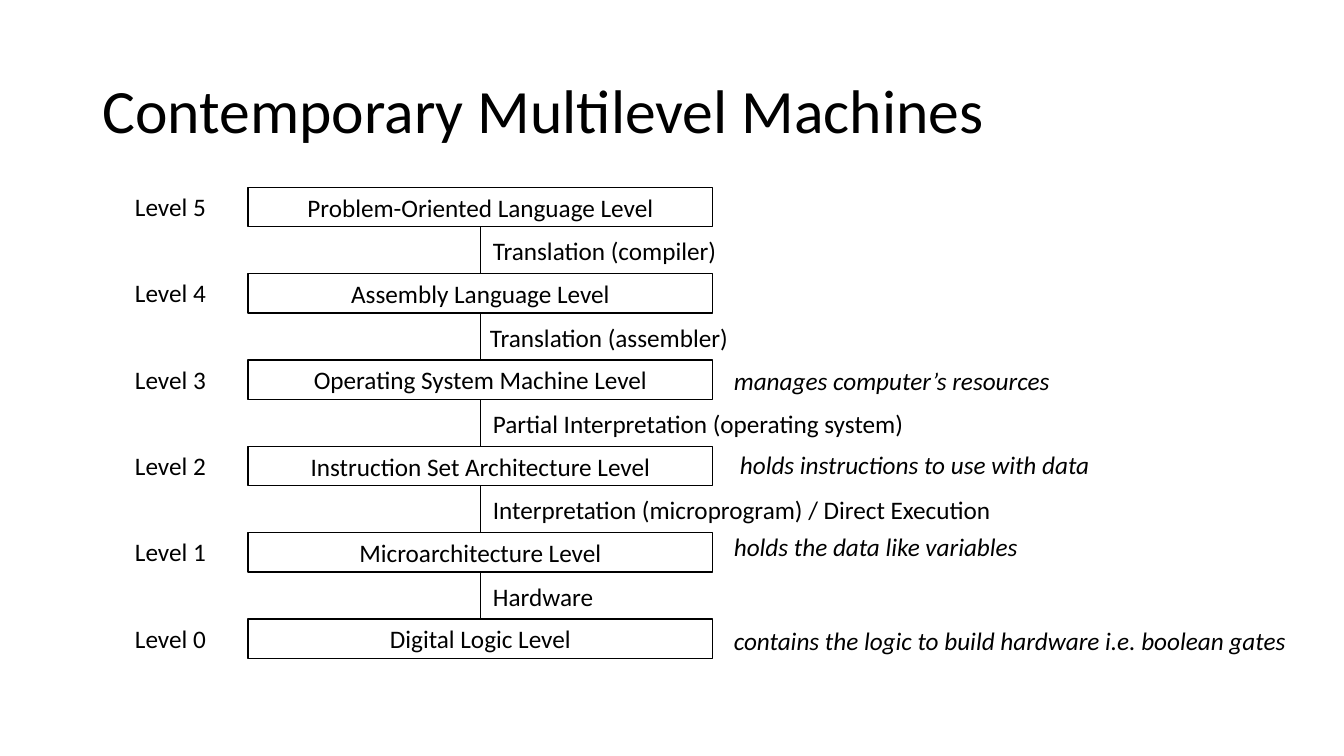
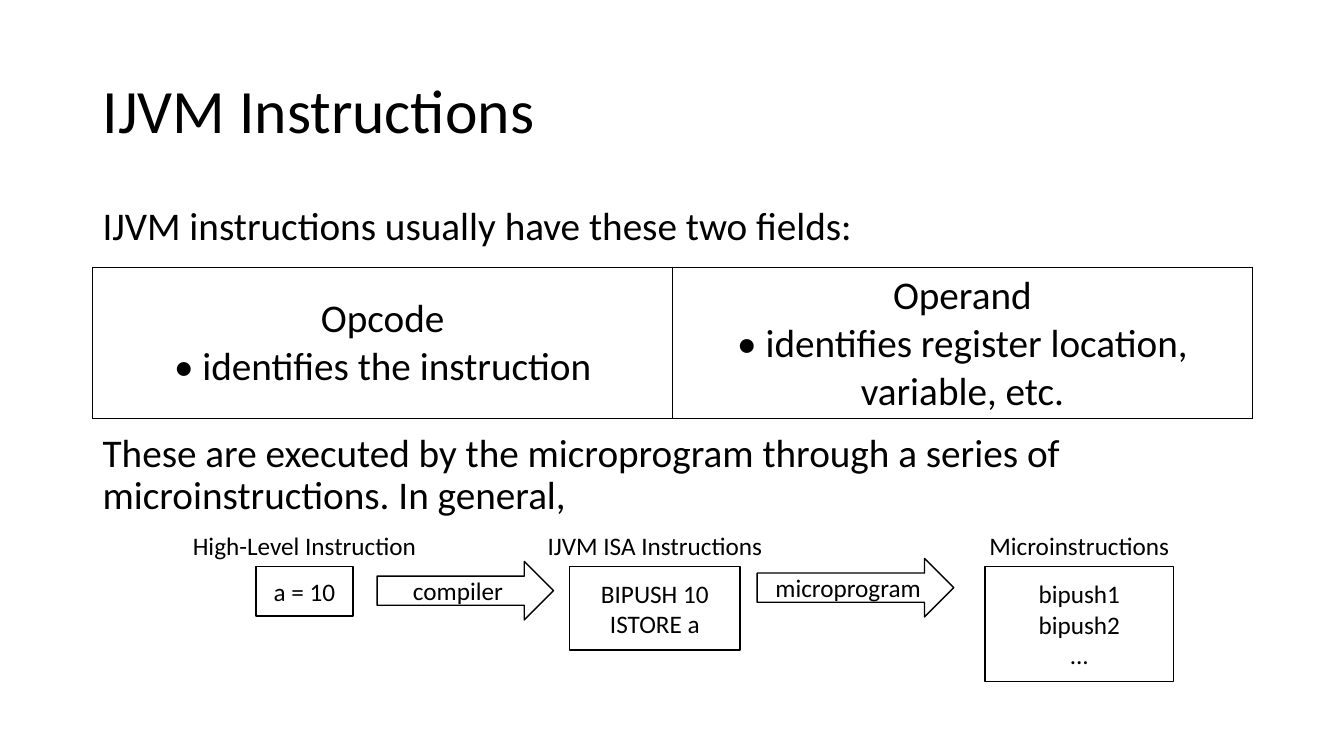
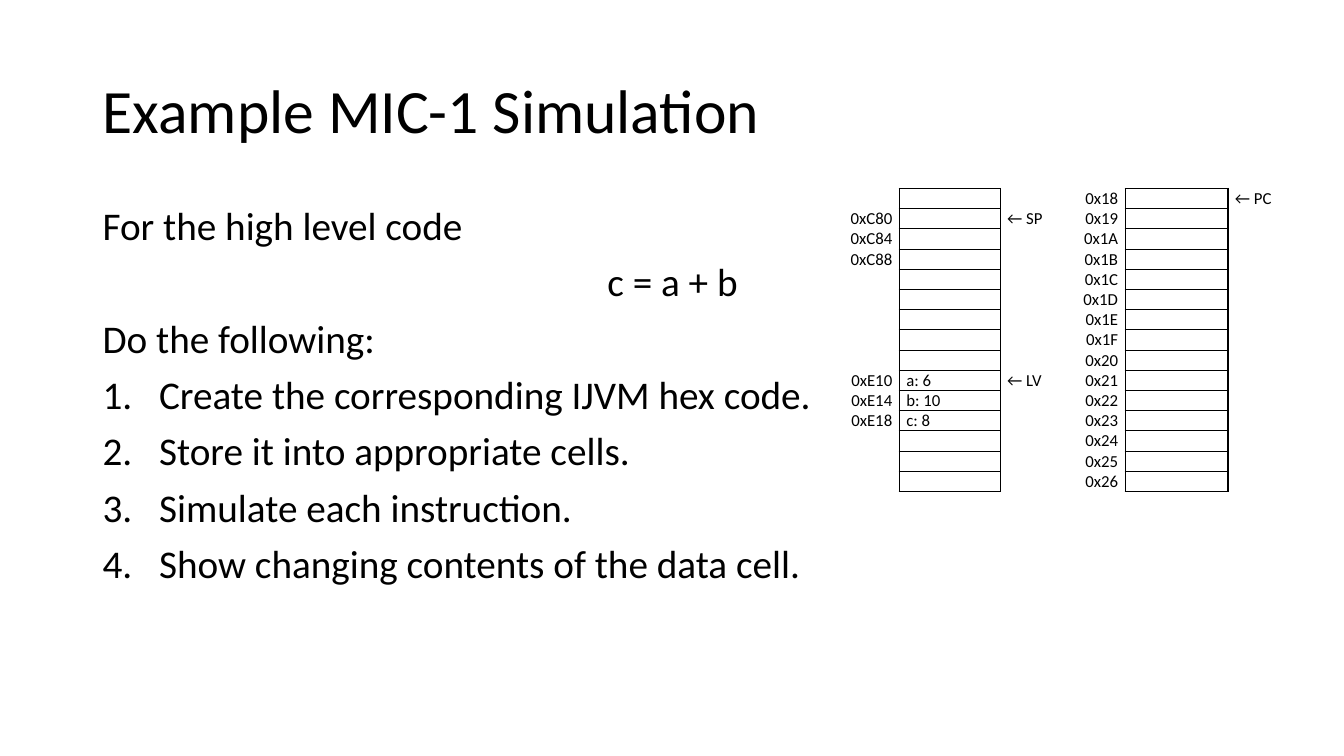
from pptx import Presentation
from pptx.dml.color import RGBColor
from pptx.enum.shapes import MSO_CONNECTOR, MSO_SHAPE
from pptx.enum.text import MSO_ANCHOR, PP_ALIGN
from pptx.oxml.xmlchemy import OxmlElement
from pptx.util import Inches, Pt

FONT, BLACK, WHITE = "Calibri", "000000", "FFFFFF"
TITLE_PT, BODY_PT, LABEL_PT, CELL_PT = 44, 28, 18, 12
LEFT, WIDTH = 0.92, 11.5
LABEL_H = 0.4
NO_GRID_STYLE = "{2D5ABB26-0587-4C30-8999-92F81FD0307C}"

LEVELS = [
    "Problem-Oriented Language Level",
    "Assembly Language Level",
    "Operating System Machine Level",
    "Instruction Set Architecture Level",
    "Microarchitecture Level",
    "Digital Logic Level",
]
# text, left, width
STEPS = [
    ("Translation (compiler)", 4.79, 2.44),
    ("Translation (assembler)", 4.76, 2.59),
    ("Partial Interpretation (operating system)", 4.79, 4.37),
    ("Interpretation (microprogram) / Direct Execution", 4.79, 5.26),
    ("Hardware", 4.79, 1.21),
]
# text, left, top, width
NOTES = [
    ("manages computer’s resources", 7.18, 3.58, 3.38),
    ("holds instructions to use with data", 7.24, 4.41, 3.71),
    ("holds the data like variables", 7.18, 5.22, 3.05),
    ("contains the logic to build hardware i.e. boolean gates", 7.18, 6.15, 5.74),
]

FIELDS_INTRO = "IJVM instructions usually have these two fields:"
FIELDS = [
    "Opcode\n• identifies the instruction",
    "Operand\n• identifies register location, variable, etc.",
]
EXECUTION = ("These are executed by the microprogram through a series of "
             "microinstructions. In general,")
# caption, caption width, code, left, width, height
STAGES = [
    ("High-Level Instruction", 2.44, "a = 10", 2.54, 0.96, 0.49),
    ("IJVM ISA Instructions", 2.35, "BIPUSH 10\nISTORE a", 5.65, 1.69, 0.83),
    ("Microinstructions", 2, "bipush1\nbipush2\n...", 9.77, 1.87, 1.14),
]
# text, left, top, width
ARROWS = [("compiler", 3.74, 5.57, 1.75), ("microprogram", 7.51, 5.54, 1.95)]

TASK_INTRO = ["For the high level code", "c = a + b", "Do the following:"]
TASKS = [
    "Create the corresponding IJVM hex code.",
    "Store it into appropriate cells.",
    "Simulate each instruction.",
    "Show changing contents of the data cell.",
]
# row: address, content, pointer
DATA_CELLS = {
    1: ("0xC80", "", "← SP"),
    2: ("0xC84", "", ""),
    3: ("0xC88", "", ""),
    9: ("0xE10", "a: 6", "← LV"),
    10: ("0xE14", "b: 10", ""),
    11: ("0xE18", "c: 8", ""),
}
FIRST_CODE_ADDRESS, MEMORY_ROWS = 0x18, 15
MEMORY_COLS = [0.57, 1, 0.62, 0.62, 1.02, 1.02]


def rgb(color):
    return RGBColor.from_string(color)


def write(tf, text, size, align=PP_ALIGN.LEFT, italic=None, body=False):
    tf.text = text
    for p in tf.paragraphs:
        p.alignment = align
        if body:
            p.line_spacing, p.space_before = 0.9, Pt(10)
        for r in p.runs:
            r.font.name, r.font.size, r.font.italic = FONT, Pt(size), italic
            r.font.color.rgb = rgb(BLACK)


def add_text(slide, text, x, y, w, h, size, wrap=True, **style):
    tf = slide.shapes.add_textbox(*map(Inches, (x, y, w, h))).text_frame
    tf.word_wrap = wrap
    write(tf, text, size, **style)
    return tf


def add_label(slide, text, x, y, w, **style):
    add_text(slide, text, x, y, w, LABEL_H, LABEL_PT, wrap=False, **style)


def add_box(slide, text, x, y, w, h, kind=MSO_SHAPE.RECTANGLE):
    sp = slide.shapes.add_shape(kind, *map(Inches, (x, y, w, h)))
    sp.shadow.inherit = False
    sp.fill.solid()
    sp.fill.fore_color.rgb = rgb(WHITE)
    sp.line.color.rgb, sp.line.width = rgb(BLACK), Pt(1)
    sp.text_frame.vertical_anchor = MSO_ANCHOR.MIDDLE
    write(sp.text_frame, text, LABEL_PT, PP_ALIGN.CENTER)
    return sp


def join(slide, upper, lower):
    line = slide.shapes.add_connector(MSO_CONNECTOR.STRAIGHT, 0, 0, 0, 0)
    line.begin_connect(upper, 2)
    line.end_connect(lower, 0)
    line.line.color.rgb, line.line.width = rgb(BLACK), Pt(0.5)
    line._element.spPr.append(OxmlElement("a:effectLst"))


def add_table(slide, rows, x, y, col_widths, row_height):
    """Add an unstyled table without header or bands."""
    frame = slide.shapes.add_table(
        rows, len(col_widths), *map(Inches, (x, y, sum(col_widths), rows * row_height)))
    table = frame.table
    table.first_row = table.horz_banding = False
    table._tbl.tblPr[0].text = NO_GRID_STYLE
    for col, w in zip(table.columns, col_widths):
        col.width = Inches(w)
    for row in table.rows:
        row.height = Inches(row_height)
    return table


def set_borders(cell, sides="LRTB"):
    tc_pr = cell._tc.get_or_add_tcPr()
    for i, side in enumerate(sides):
        ln = OxmlElement(f"a:ln{side}")
        ln.set("w", str(Pt(1)))
        fill, clr = OxmlElement("a:solidFill"), OxmlElement("a:srgbClr")
        clr.set("val", BLACK)
        fill.append(clr)
        ln.append(fill)
        tc_pr.insert(i, ln)


def number(p):
    p_pr = p._p.get_or_add_pPr()
    p_pr.set("marL", str(Inches(0.56)))
    p_pr.set("indent", str(-Inches(0.56)))
    bullet = OxmlElement("a:buAutoNum")
    bullet.set("type", "arabicPeriod")
    p_pr.append(bullet)


def new_slide(prs, title):
    slide = prs.slides.add_slide(prs.slide_layouts[6])
    tf = add_text(slide, title, LEFT, 0.4, WIDTH, 1.45, TITLE_PT)
    tf.vertical_anchor = MSO_ANCHOR.MIDDLE
    tf.paragraphs[0].line_spacing = 0.9
    return slide


def levels_slide(prs):
    slide = new_slide(prs, "Contemporary Multilevel Machines")
    top, pitch = 1.86, 0.856
    boxes = []
    for i, level in enumerate(LEVELS):
        y = top + i * pitch
        boxes.append(add_box(slide, level, 2.46, y, 4.61, 0.39))
        add_label(slide, f"Level {len(LEVELS) - 1 - i}", 1.24, y - 0.01, 0.92)
    for upper, lower in zip(boxes, boxes[1:]):
        join(slide, upper, lower)
    for i, (text, x, w) in enumerate(STEPS):
        add_label(slide, text, x, top + i * pitch + 0.43, w)
    for text, x, y, w in NOTES:
        add_label(slide, text, x, y, w, italic=True)


def instructions_slide(prs):
    slide = new_slide(prs, "IJVM Instructions")
    table = add_table(slide, 1, LEFT, 2.65, [WIDTH / 2] * 2, 1.5)
    for cell, text in zip(table.rows[0].cells, FIELDS):
        cell.fill.background()
        cell.vertical_anchor = MSO_ANCHOR.MIDDLE
        write(cell.text_frame, text, BODY_PT, PP_ALIGN.CENTER)
        set_borders(cell)
    tf = add_text(slide, f"{FIELDS_INTRO}\n{EXECUTION}", LEFT, 2, WIDTH, 4.76,
                  BODY_PT, body=True)
    tf.paragraphs[1].space_before = Pt(132)  # room for the table
    for caption, caption_w, code, x, w, h in STAGES:
        add_box(slide, code, x, 5.62, w, h)
        add_label(slide, caption, x + (w - caption_w) / 2, 5.21, caption_w,
                  align=PP_ALIGN.CENTER)
    for text, x, y, w in ARROWS:
        add_box(slide, text, x, y, w, 0.58, MSO_SHAPE.RIGHT_ARROW)


def simulation_slide(prs):
    slide = new_slide(prs, "Example MIC-1 Simulation")
    tf = add_text(slide, "\n".join(TASK_INTRO + TASKS), LEFT, 2, WIDTH, 4.92,
                  BODY_PT, body=True)
    tf.paragraphs[1].alignment = PP_ALIGN.CENTER
    for p in tf.paragraphs[len(TASK_INTRO):]:
        number(p)

    table = add_table(slide, MEMORY_ROWS, 8.35, 1.87, MEMORY_COLS, 0.2)
    for i, row in enumerate(table.rows):
        code = (f"0x{FIRST_CODE_ADDRESS + i:X}", "", "" if i else "← PC")
        texts = DATA_CELLS.get(i, ("", "", "")) + code
        for j, (cell, text) in enumerate(zip(row.cells, texts)):
            address, content = j % 3 == 0, j % 3 == 1
            cell.fill.background()
            cell.margin_left = cell.margin_right = Inches(0.07)
            cell.margin_top = cell.margin_bottom = 0
            write(cell.text_frame, text, CELL_PT,
                  PP_ALIGN.RIGHT if address else PP_ALIGN.LEFT)
            if not text:  # keeps empty rows as low as filled ones
                end = OxmlElement("a:endParaRPr")
                end.set("sz", str(CELL_PT * 100))
                cell.text_frame.paragraphs[0]._p.append(end)
            if content:
                set_borders(cell)


def main():
    prs = Presentation()
    prs.slide_width, prs.slide_height = Inches(13.33), Inches(7.5)
    levels_slide(prs)
    instructions_slide(prs)
    simulation_slide(prs)
    prs.save("out.pptx")


if __name__ == "__main__":
    main()
